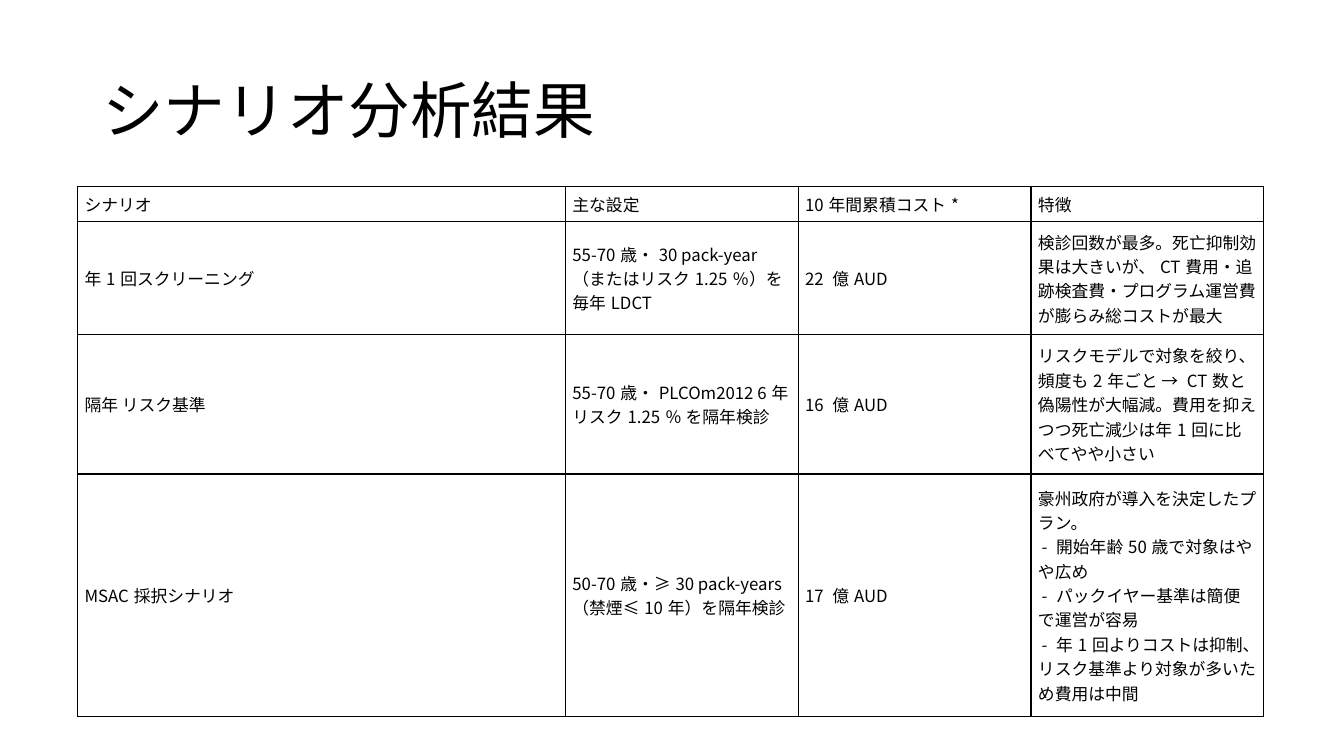
"""Build the slide that compares the costs of three screening scenarios."""
import lxml.etree
import pptx
import pptx.dml.color
import pptx.enum.text
import pptx.oxml.ns
import pptx.util

Pt = pptx.util.Pt
qn = pptx.oxml.ns.qn
MIDDLE = pptx.enum.text.MSO_ANCHOR.MIDDLE

FONT = "Noto Sans CJK JP"
INK = "000000"
COLUMN_WIDTHS = [348.5, 166.3, 166.3, 166.3]
ROW_HEIGHTS = [25.2, 80.8, 99.4, 173.2]
CELL_FORMAT = {
    "margin_left": Pt(5),
    "margin_right": Pt(5),
    "margin_top": Pt(2.5),
    "margin_bottom": Pt(2.5),
    "vertical_anchor": MIDDLE,
}
SCENARIOS = [
    ["シナリオ", "主な設定", "10年間累積コスト*", "特徴"],
    [
        "年1回スクリーニング",
        "55‑70歳・30 pack‑year（またはリスク1.25％）を毎年LDCT",
        "22 億AUD",
        "検診回数が最多。死亡抑制効果は大きいが、CT費用・追跡検査費・プログラム運営費が膨らみ総コストが最大",
    ],
    [
        "隔年 リスク基準",
        "55‑70歳・PLCOm2012 6年リスク1.25％ を隔年検診",
        "16 億AUD",
        "リスクモデルで対象を絞り、頻度も2年ごと → CT数と偽陽性が大幅減。"
        "費用を抑えつつ死亡減少は年1回に比べてやや小さい",
    ],
    [
        "MSAC採択シナリオ",
        "50‑70歳・≥30 pack‑years（禁煙≤10年）を隔年検診",
        "17 億AUD",
        "豪州政府が導入を決定したプラン。\n"
        " - 開始年齢50歳で対象はやや広め\n"
        " - パックイヤー基準は簡便で運営が容易\n"
        " - 年1回よりコストは抑制、リスク基準より対象が多いため費用は中間",
    ],
]


def color(value):
    """Return the colour for a hex string."""
    return pptx.dml.color.RGBColor.from_string(value)


def apply(target, settings):
    """Set each attribute named in settings on target."""
    for name, value in settings.items():
        setattr(target, name, value)


def write(frame, text, size):
    """Fill a text frame, one paragraph per line of text."""
    frame.text = text
    for paragraph in frame.paragraphs:
        for run in paragraph.runs:
            apply(run.font, {"name": FONT, "size": Pt(size)})
            run.font.color.rgb = color(INK)
            east_asian = lxml.etree.Element(qn("a:ea"), typeface=FONT)
            run.font._element.find(qn("a:latin")).addnext(east_asian)


def add_borders(cell):
    """Draw a thin line on all four sides of a cell."""
    properties = cell._tc.get_or_add_tcPr()
    for index, side in enumerate(["lnL", "lnR", "lnT", "lnB"]):
        line = lxml.etree.Element(qn(f"a:{side}"), w=str(Pt(1)))
        fill = lxml.etree.SubElement(line, qn("a:solidFill"))
        lxml.etree.SubElement(fill, qn("a:srgbClr"), val=INK)
        properties.insert(index, line)


def add_title(slide, text):
    """Add the slide heading."""
    heading = slide.shapes.add_textbox(Pt(66), Pt(28.8), Pt(828), Pt(104.4))
    apply(heading.text_frame, {"word_wrap": True, "vertical_anchor": MIDDLE})
    write(heading.text_frame, text, 44)
    heading.text_frame.paragraphs[0].line_spacing = 0.9


def add_scenario_table(slide, rows):
    """Add the bordered table of scenarios."""
    table = slide.shapes.add_table(
        len(rows), len(rows[0]), Pt(55.4), Pt(133.2),
        Pt(sum(COLUMN_WIDTHS)), Pt(sum(ROW_HEIGHTS)),
    ).table
    apply(table, {"first_row": False, "horz_banding": False})
    for column, width in zip(table.columns, COLUMN_WIDTHS):
        column.width = Pt(width)
    for row, height, texts in zip(table.rows, ROW_HEIGHTS, rows):
        row.height = Pt(height)
        for cell, text in zip(row.cells, texts):
            apply(cell, CELL_FORMAT)
            cell.fill.background()
            add_borders(cell)
            write(cell.text_frame, text, 12)


def main():
    """Create and save the presentation."""
    deck = pptx.Presentation()
    apply(deck, {"slide_width": Pt(960), "slide_height": Pt(540)})
    slide = deck.slides.add_slide(deck.slide_layouts[6])
    add_title(slide, "シナリオ分析結果")
    add_scenario_table(slide, SCENARIOS)
    deck.save("out.pptx")


if __name__ == "__main__":
    main()
